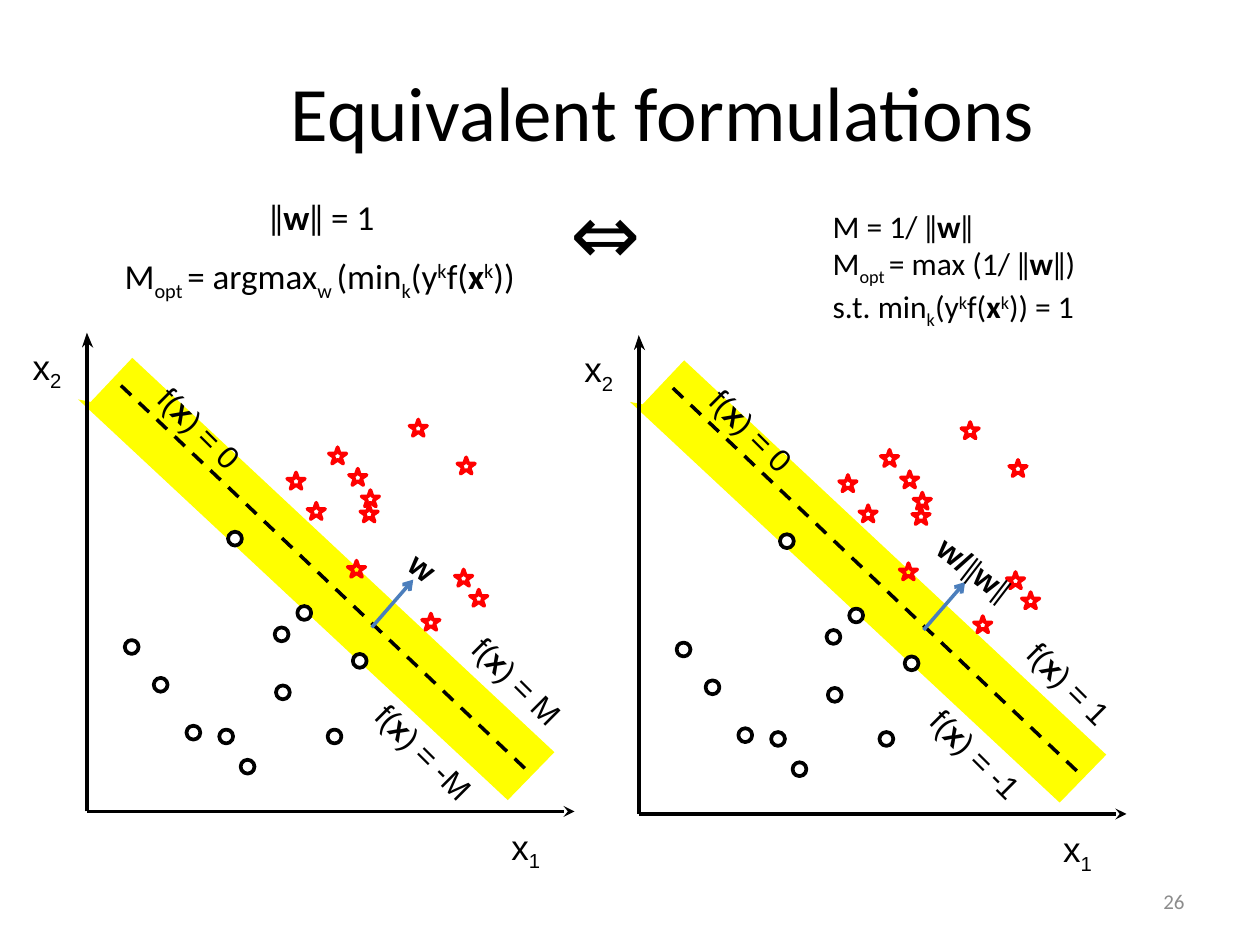
from lxml.etree import SubElement
from pptx import Presentation
from pptx.dml.color import RGBColor
from pptx.enum.dml import MSO_LINE
from pptx.enum.shapes import MSO_CONNECTOR, MSO_SHAPE
from pptx.enum.text import MSO_ANCHOR, MSO_AUTO_SIZE, PP_ALIGN
from pptx.oxml.ns import qn
from pptx.util import Inches, Pt

COLORS = {"ink": "000000", "paper": "FFFFFF", "margin": "FFFF00",
          "star": "FF0000", "normal": "4B7EBC", "number": "8C8C8C"}
BOLD, SUB, SUP = {"bold": True}, {"baseline": -25}, {"baseline": 30}
PLAIN = {}

# Sample points and margin band, relative to the corner of a plot
CIRCLES = [(1.29, 3.39), (1.12, 3.15), (1.98, 3.15), (0.86, 3.12), (0.37, 2.44),
           (2.18, 2.55), (1.56, 2.34), (0.6, 2.74), (1.57, 2.8), (1.19, 1.58),
           (1.74, 2.17)]
STARS = [(2.99, 1.88), (3.11, 2.04), (2.15, 1.08), (2.14, 1.81), (2.24, 1.37),
         (1.66, 1.11), (1.99, 0.91), (2.63, 0.69), (2.25, 1.25), (3.01, 0.99),
         (2.73, 2.23), (1.82, 1.35)]
BAND = [(0.1, 0.55), (0.43, 0.2), (3.78, 3.33), (3.41, 3.71), (0, 0.53)]
ARROWHEAD = [(0.03, 0.12), (0.07, 0), (0.12, 0.12), (0.07, 0.08)]


def color(name):
    return RGBColor.from_string(COLORS[name])


def paint(shape, fill=None, line=None, width=2.13):
    shape.shadow.inherit = False
    if fill:
        shape.fill.solid()
        shape.fill.fore_color.rgb = color(fill)
    else:
        shape.fill.background()
    if line:
        shape.line.color.rgb = color(line)
        shape.line.width = Pt(width)
    else:
        shape.line.fill.background()


def write(frame, paragraphs, size, font="Calibri", ink="ink", align=PP_ALIGN.LEFT):
    """Fill a frame with paragraphs, each a list of (text, format) runs."""
    for index, runs in enumerate(paragraphs):
        paragraph = frame.paragraphs[0] if index == 0 else frame.add_paragraph()
        paragraph.alignment = align
        for text, extra in runs:
            run = paragraph.add_run()
            run.text = text
            run.font.color.rgb = color(ink)
            values = {"name": font, "size": Pt(size), **extra}
            baseline = values.pop("baseline", None)
            for key, value in values.items():
                setattr(run.font, key, value)
            if baseline:
                run._r.get_or_add_rPr().set("baseline", str(baseline * 1000))


def add_text(shapes, box, paragraphs, size, **style):
    text = shapes.add_textbox(*map(Inches, box))
    text.text_frame.word_wrap = False
    text.text_frame.auto_size = MSO_AUTO_SIZE.SHAPE_TO_FIT_TEXT
    write(text.text_frame, paragraphs, size, **style)
    return text


def add_outline(shapes, left, top, points, fill):
    corners = [(Inches(left + x), Inches(top + y)) for x, y in points]
    builder = shapes.build_freeform(*corners[0], scale=1.0)
    builder.add_line_segments(corners[1:], close=True)
    paint(builder.convert_to_shape(), fill)


def add_line(shapes, left, top, start, end, ink="ink", width=2.13, dash=None, head=None):
    ends = [Inches(v) for x, y in (start, end) for v in (left + x, top + y)]
    line = shapes.add_connector(MSO_CONNECTOR.STRAIGHT, *ends)
    line.line.color.rgb = color(ink)
    line.line.width = Pt(width)
    if dash:
        line.line.dash_style = dash
    properties = line._element.spPr
    if head:
        SubElement(properties.find(qn("a:ln")), qn("a:tailEnd"), type=head)
    SubElement(properties, qn("a:effectLst"))


def add_samples(shapes, left, top, kind, spots, size, fill, line):
    for x, y in spots:
        sample = shapes.add_shape(kind, Inches(left + x), Inches(top + y),
                                  *map(Inches, size))
        paint(sample, fill, line)


def add_plot(shapes, left, top, labels):
    """Margin plot; labels holds (centre x, centre y, width, angle, runs)."""
    add_outline(shapes, left, top, BAND, "margin")

    # Axes and samples
    group = shapes.add_group_shape().shapes
    add_samples(group, left, top, MSO_SHAPE.OVAL, CIRCLES, (0.11, 0.11), "paper", "ink")
    add_samples(group, left, top, MSO_SHAPE.STAR_5_POINT, STARS, (0.14, 0.13), None, "star")
    add_line(group, left, top, (0.07, 3.8), (3.94, 3.8), head="stealth")
    add_line(group, left, top, (0.07, 3.8), (0.07, 0.08))
    add_outline(group, left, top, ARROWHEAD, "ink")
    for index, x, y, width in (("1", 3.34, 3.86, 0.76), ("2", -0.46, 0.05, 0.49)):
        axis_name = group.add_shape(MSO_SHAPE.RECTANGLE, Inches(left + x),
                                    Inches(top + y), Inches(width), Inches(0.43))
        paint(axis_name, "paper")
        axis_name.text_frame.vertical_anchor = MSO_ANCHOR.TOP
        write(axis_name.text_frame, [[("x", PLAIN), (index, SUB)]], 20, font="Arial")

    # Decision boundary, its normal and the slanted labels
    add_line(shapes, left, top, (0.34, 0.42), (3.59, 3.5), width=2, dash=MSO_LINE.DASH)
    add_line(shapes, left, top, (2.33, 2.34), (2.66, 1.96), "normal", 2, head="arrow")
    for x, y, width, angle, runs in labels:
        box = (left + x - width / 2, top + y - 0.2, width, 0.4)
        add_text(shapes, box, [runs], 18, font="Arial").rotation = angle


def plot_labels(margin, plus_width, minus_width, normal_width, normal):
    levels = [(0.97, 0.76, 1.01, "0"), (3.49, 2.77, plus_width, margin),
              (2.75, 3.33, minus_width, f"-{margin}")]
    labels = [(x, y, width, 44.9, [("f(", PLAIN), ("x", BOLD), (f") = {level}", PLAIN)])
              for x, y, width, level in levels]
    return labels + [(2.74, 1.86, normal_width, 37.5, normal)]


def add_heading(slide):
    title = slide.shapes.title
    box = {"left": 1.01, "top": 0.25, "width": 8.5, "height": 1.25}
    for key, value in box.items():
        setattr(title, key, Inches(value))
    title.text_frame.vertical_anchor = MSO_ANCHOR.MIDDLE
    write(title.text_frame, [[("Equivalent formulations", PLAIN)]], 44,
          align=PP_ALIGN.CENTER)


def add_formulas(shapes):
    norm = "ǁ"
    constraint = [("k", SUB), ("(y", PLAIN), ("k", SUP), ("f(", PLAIN),
                  ("x", BOLD), ("k", SUP)]
    add_text(shapes, (2.04, 1.5, 1.04, 0.44),
             [[(norm, PLAIN), ("w", BOLD), (f"{norm} = 1", PLAIN)]], 20)
    add_text(shapes, (0.89, 1.97, 3.59, 0.44),
             [[("M", PLAIN), ("opt ", SUB), ("= argmax", PLAIN), ("w ", SUB),
               ("(min", PLAIN), *constraint, ("))", PLAIN)]], 20)
    add_text(shapes, (6.51, 1.59, 2.2, 1.31),
             [[(f"M = 1/ {norm}", PLAIN), ("w", BOLD), (norm, PLAIN)],
              [("M", PLAIN), ("opt ", SUB), (f"= max (1/ {norm}", PLAIN),
               ("w", BOLD), (f"{norm})", PLAIN)],
              [("s.t. min", PLAIN), *constraint, (")) = 1", PLAIN)]], 18)
    add_text(shapes, (4.43, 1.38, 0.9, 0.91), [[("⇔", PLAIN)]], 48)


def add_number(shapes):
    number = add_text(shapes, (7.17, 6.95, 2.33, 0.4), [[("26", PLAIN)]], 12,
                      ink="number", align=PP_ALIGN.RIGHT).text_frame
    number.auto_size = MSO_AUTO_SIZE.NONE
    number.word_wrap = True
    number.vertical_anchor = MSO_ANCHOR.MIDDLE


def main():
    deck = Presentation()
    deck.slide_width, deck.slide_height = Inches(10), Inches(7.5)
    slide = deck.slides.add_slide(deck.slide_layouts[5])
    shapes = slide.shapes
    add_heading(slide)
    norm = ("ǁ", {"name": "Calibri"})
    unit_normal = [("w/", BOLD), norm, ("w", BOLD), norm]
    add_plot(shapes, 5, 2.66, plot_labels("1", 1.01, 1.09, 0.86, unit_normal))
    add_plot(shapes, 0.62, 2.64, plot_labels("M", 1.08, 1.16, 0.4, [("w", BOLD)]))
    add_formulas(shapes)
    add_number(shapes)
    deck.save("out.pptx")


if __name__ == "__main__":
    main()
